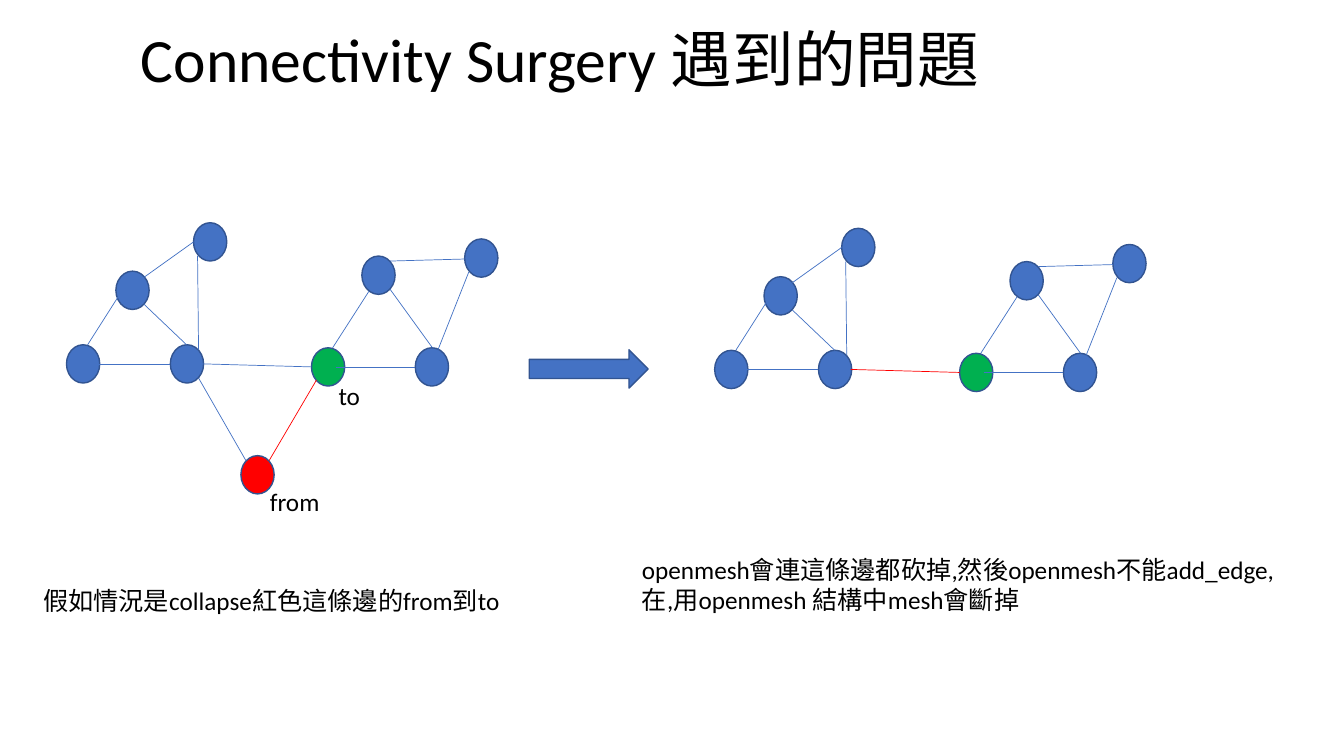
from lxml.etree import SubElement
from pptx import Presentation
from pptx.dml.color import RGBColor
from pptx.enum.shapes import MSO_CONNECTOR, MSO_SHAPE
from pptx.enum.text import MSO_ANCHOR
from pptx.oxml.ns import qn
from pptx.util import Inches, Pt

BLACK = RGBColor(0x00, 0x00, 0x00)
BLUE = RGBColor(0x44, 0x72, 0xC4)
OUTLINE = RGBColor(0x32, 0x54, 0x91)
RED = RGBColor(0xFF, 0x00, 0x00)
GREEN = RGBColor(0x00, 0xB0, 0x50)

CELL = Inches(0.1)
COLUMNS, ROWS = 133.33, 75
NODE_SIZE = (3.3, 3.8)
RIGHT_MESH = (64.3, 0.55)

MESH_NODES = [
    (6.6, 34.2, BLUE),
    (11.5, 26.9, BLUE),
    (16.9, 34.2, BLUE),
    (19.2, 22.1, BLUE),
    (30.9, 34.5, GREEN),
    (35.9, 25.4, BLUE),
    (41.2, 34.5, BLUE),
    (46.1, 23.7, BLUE),
]
MESH_EDGES = [
    (8.9, 36.1, 16.9, 36.1),
    (8.7, 34.2, 12.2, 28.7),
    (14.3, 30.2, 18.5, 34.2),
    (14.3, 27.5, 19.2, 24),
    (19.7, 34.7, 19.6, 25.4),
    (33.3, 36.4, 41.2, 36.4),
    (33, 34.5, 36.6, 28.9),
    (38.7, 28.7, 42.9, 34.5),
    (38.7, 25.9, 46.1, 25.7),
    (42.9, 36.1, 46.5, 27),
]
BRIDGE = (20.1, 36.1, 30.9, 36.4)
FROM_NODE = (23.9, 45.2)
COLLAPSED_EDGE = (31.4, 37.7, 26.7, 45.7)
FROM_EDGE = (19.7, 37.5, 24.4, 45.7)


def grid(*cells):
    return [round(cell * CELL) for cell in cells]


def add_filled_shape(slide, kind, left, top, width, height, color):
    shape = slide.shapes.add_shape(kind, *grid(left, top, width, height))
    shape.shadow.inherit = False
    shape.fill.solid()
    shape.fill.fore_color.rgb = color
    shape.line.color.rgb = OUTLINE
    shape.line.width = Pt(1)


def add_node(slide, left, top, color):
    add_filled_shape(slide, MSO_SHAPE.OVAL, left, top, *NODE_SIZE, color)


def add_edge(slide, start_x, start_y, end_x, end_y, color=BLUE):
    edge = slide.shapes.add_connector(
        MSO_CONNECTOR.STRAIGHT, *grid(start_x, start_y, end_x, end_y))
    edge.line.color.rgb = color
    edge.line.width = Pt(0.5)
    SubElement(edge._element.spPr, qn("a:effectLst"))


def add_mesh(slide, offset_x=0, offset_y=0, bridge_color=BLUE):
    for left, top, color in MESH_NODES:
        add_node(slide, left + offset_x, top + offset_y, color)
    edges = [(edge, BLUE) for edge in MESH_EDGES] + [(BRIDGE, bridge_color)]
    for (start_x, start_y, end_x, end_y), color in edges:
        add_edge(slide, start_x + offset_x, start_y + offset_y,
                 end_x + offset_x, end_y + offset_y, color)


def add_text(slide, text, left, top, width, height, size=18,
             anchor=MSO_ANCHOR.TOP, line_spacing=1.0, wrap=True):
    box = slide.shapes.add_textbox(*grid(left, top, width, height))
    frame = box.text_frame
    frame.word_wrap = wrap
    frame.vertical_anchor = anchor
    frame.text = text
    for paragraph in frame.paragraphs:
        paragraph.line_spacing = line_spacing
        paragraph.font.name = "Calibri"
        paragraph.font.size = Pt(size)
        paragraph.font.color.rgb = BLACK


def main():
    presentation = Presentation()
    presentation.slide_width, presentation.slide_height = grid(COLUMNS, ROWS)
    slide = presentation.slides.add_slide(presentation.slide_layouts[6])

    add_text(slide, "Connectivity Surgery 遇到的問題", 13, -1, 115, 14.5,
             size=44, anchor=MSO_ANCHOR.MIDDLE, line_spacing=0.9)

    add_mesh(slide)
    add_node(slide, *FROM_NODE, RED)
    add_edge(slide, *COLLAPSED_EDGE, RED)
    add_edge(slide, *FROM_EDGE)
    add_mesh(slide, *RIGHT_MESH, bridge_color=RED)
    add_filled_shape(slide, MSO_SHAPE.RIGHT_ARROW, 52.5, 34.7, 11.8, 3.8, BLUE)

    add_text(slide, "openmesh會連這條邊都砍掉,然後openmesh不能add_edge,\n"
             "在,用openmesh 結構中mesh會斷掉", 62.7, 54.5, 65.4, 7.1)
    add_text(slide, "to", 32.6, 37.2, 4.2, 4, wrap=False)
    add_text(slide, "from", 25.8, 47.8, 7, 4, wrap=False)
    add_text(slide, "假如情況是collapse紅色這條邊的from到to", 3.3, 57.6, 47.7, 4)

    presentation.save("out.pptx")


if __name__ == "__main__":
    main()
